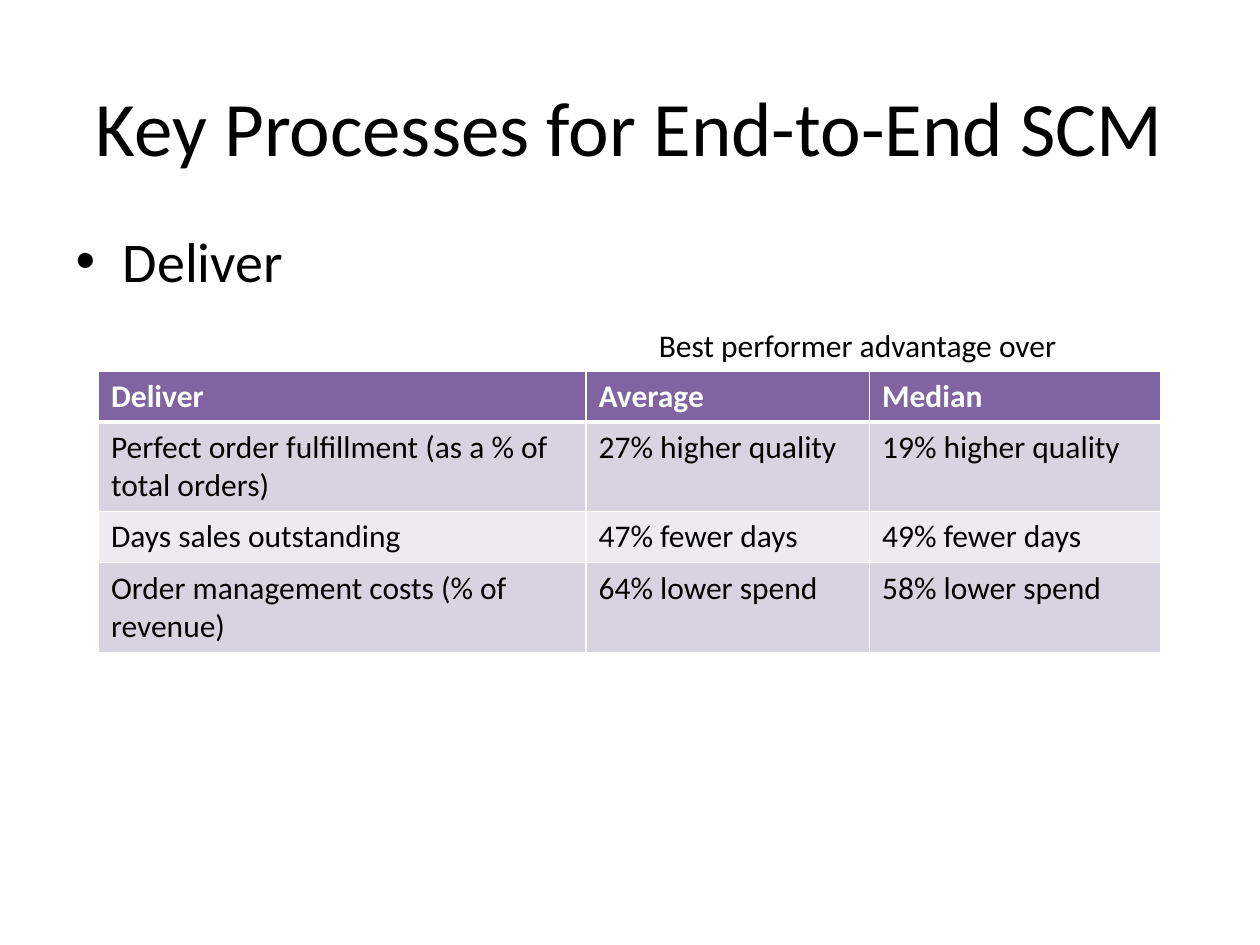
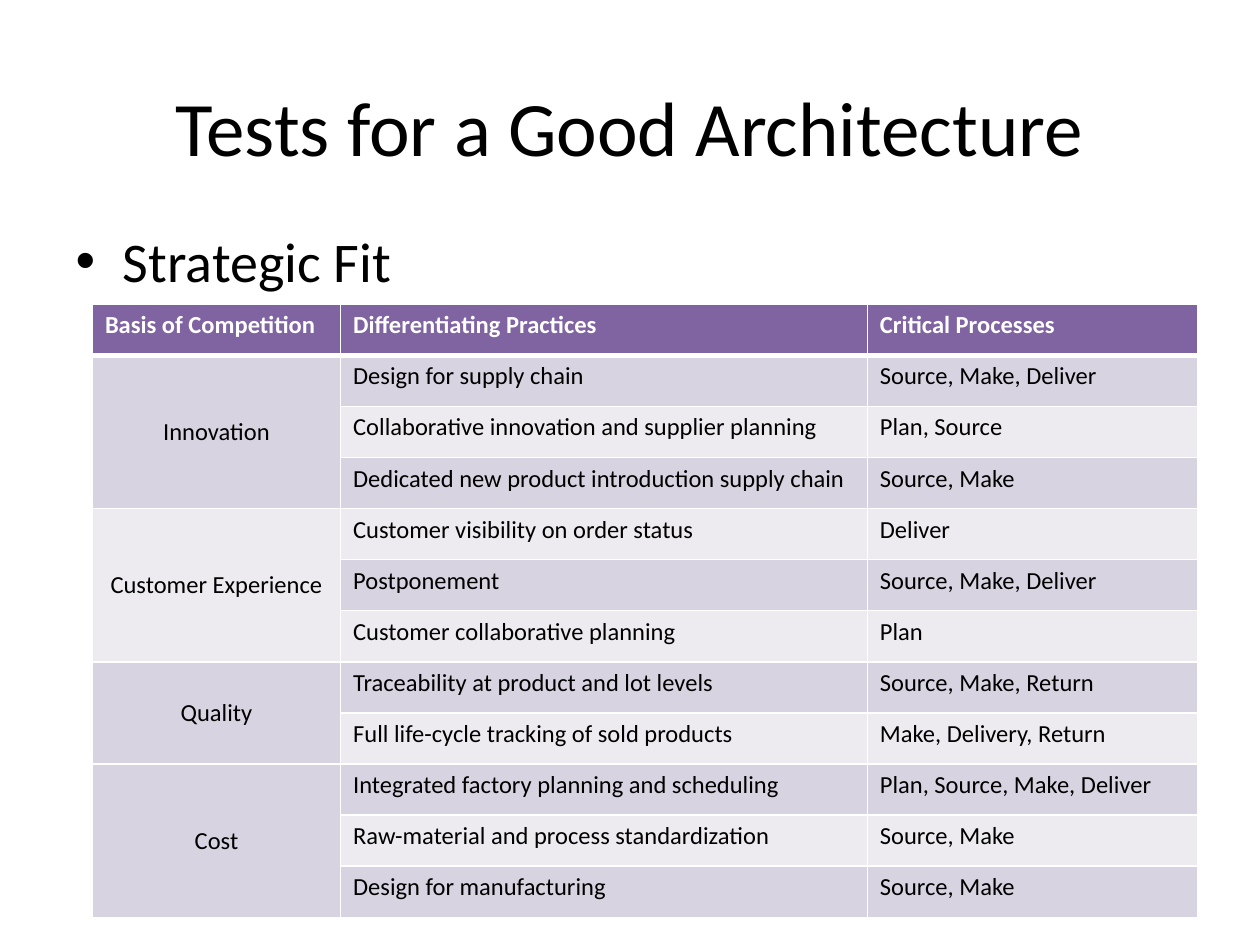
"""Two slides on supply chain management, each with a title, a bullet and a table."""
from pptx import Presentation
from pptx.dml.color import RGBColor
from pptx.enum.text import MSO_ANCHOR as Anchor, PP_ALIGN as Align
from pptx.util import Pt
from lxml.etree import SubElement
from pptx.oxml.ns import qn


def rgb(hex_code):
    """Turn a hex string into a colour."""
    return RGBColor.from_string(hex_code)


class Deck:
    """Holds the shared style and the current slide."""
    FONT = "Calibri"
    BLACK, WHITE, PURPLE = "000000", "FFFFFF", "8064A2"
    BANDS = ("EDEAF0", "D8D3E0")  # even and odd body rows
    ROW_HEIGHT = 29.2

    def __init__(self):
        """Start a 4:3 presentation."""
        self.prs = Presentation()
        self.prs.slide_width, self.prs.slide_height = Pt(720), Pt(540)
        self.s = None

    def style(self, p, size, color=BLACK, bold=False, align=None):
        """Format one paragraph."""
        p.font.name, p.font.size, p.font.bold = self.FONT, Pt(size), bold
        p.font.color.rgb = rgb(color)
        if align is not None:
            p.alignment = align

    def place(self, shape, left, top, width, height):
        """Move and size a shape."""
        shape.left, shape.top = Pt(left), Pt(top)
        shape.width, shape.height = Pt(width), Pt(height)

    def slide(self, title, bullet):
        """Add a slide with its title and bullet."""
        self.s = self.prs.slides.add_slide(self.prs.slide_layouts[1])
        head, body = self.s.placeholders
        self.place(head, 36, 27, 648, 90)
        head.text_frame.text = title
        head.text_frame.vertical_anchor = Anchor.MIDDLE
        self.style(head.text_frame.paragraphs[0], 44, align=Align.CENTER)
        self.place(body, 36, 126, 662.4, 356.4)
        body.text_frame.text = bullet
        self.style(body.text_frame.paragraphs[0], 32)

    def label(self, text, left, top, width, height, size=18):
        """Add a line of plain text."""
        tf = self.s.shapes.add_textbox(Pt(left), Pt(top), Pt(width), Pt(height)).text_frame
        tf.word_wrap = True
        tf.text = text
        self.style(tf.paragraphs[0], size)

    def borders(self, cell, row):
        """Draw white cell borders, thick below the header row."""
        widths = {"L": 1, "R": 1, "T": 3 if row == 1 else 1, "B": 3 if row == 0 else 1}
        tc_pr = cell._tc.get_or_add_tcPr()
        for side, width in widths.items():
            ln = SubElement(tc_pr, qn(f"a:ln{side}"), w=str(Pt(width)))
            SubElement(SubElement(ln, qn("a:solidFill")), qn("a:srgbClr"), val=self.WHITE)

    def table(self, rows, left, top, widths, size):
        """Add a banded table; None continues the cell above it."""
        table = self.s.shapes.add_table(
            len(rows), len(widths), Pt(left), Pt(top),
            Pt(sum(widths)), Pt(self.ROW_HEIGHT * len(rows))).table
        for column, width in zip(table.columns, widths):
            column.width = Pt(width)
        for r, row in enumerate(rows):
            table.rows[r].height = Pt(self.ROW_HEIGHT)
            for c, text in enumerate(row):
                cell = table.cell(r, c)
                self.borders(cell, r)
                cell.fill.solid()
                cell.fill.fore_color.rgb = rgb(self.BANDS[r % 2] if r else self.PURPLE)
                if text is not None:
                    cell.text = text
                    self.style(cell.text_frame.paragraphs[0], size,
                               self.BLACK if r else self.WHITE, bold=r == 0)
        return table

    def grouped_table(self, header, groups, left, top, widths, size):
        """Add a table whose first column spans the rows of each group."""
        rows = [header]
        for name, items in groups.items():
            rows += [(None if i else name, *item) for i, item in enumerate(items)]
        table = self.table(rows, left, top, widths, size)
        first = 1
        for items in groups.values():
            cell = table.cell(first, 0)
            cell.merge(table.cell(first + len(items) - 1, 0))
            cell.vertical_anchor = Anchor.MIDDLE
            cell.text_frame.paragraphs[0].alignment = Align.CENTER
            first += len(items)


DELIVER = [
    ("Deliver", "Average", "Median"),
    ("Perfect order fulfillment (as a % of total orders)",
     "27% higher quality", "19% higher quality"),
    ("Days sales outstanding", "47% fewer days", "49% fewer days"),
    ("Order management costs (% of revenue)", "64% lower spend", "58% lower spend"),
]
PRACTICES = {
    "Innovation": [
        ("Design for supply chain", "Source, Make, Deliver"),
        ("Collaborative innovation and supplier planning", "Plan, Source"),
        ("Dedicated new product introduction supply chain", "Source, Make"),
    ],
    "Customer Experience": [
        ("Customer visibility on order status", "Deliver"),
        ("Postponement", "Source, Make, Deliver"),
        ("Customer collaborative planning", "Plan"),
    ],
    "Quality": [
        ("Traceability at product and lot levels", "Source, Make, Return"),
        ("Full life-cycle tracking of sold products", "Make, Delivery, Return"),
    ],
    "Cost": [
        ("Integrated factory planning and scheduling", "Plan, Source, Make, Deliver"),
        ("Raw-material and process standardization", "Source, Make"),
        ("Design for manufacturing", "Source, Make"),
    ],
}

deck = Deck()

deck.slide("Key Processes for End-to-End SCM", "Deliver")
deck.table(DELIVER, 56.3, 212, (278.6, 162, 166.3), 18)
deck.label("Best performer advantage over", 369.4, 183, 255, 29)

deck.slide("Tests for a Good Architecture", "Strategic Fit")
deck.grouped_table(("Basis of Competition", "Differentiating Practices", "Critical Processes"),
                   PRACTICES, 52.8, 173.8, (141.8, 301, 188.6), 14)

deck.prs.save("out.pptx")
